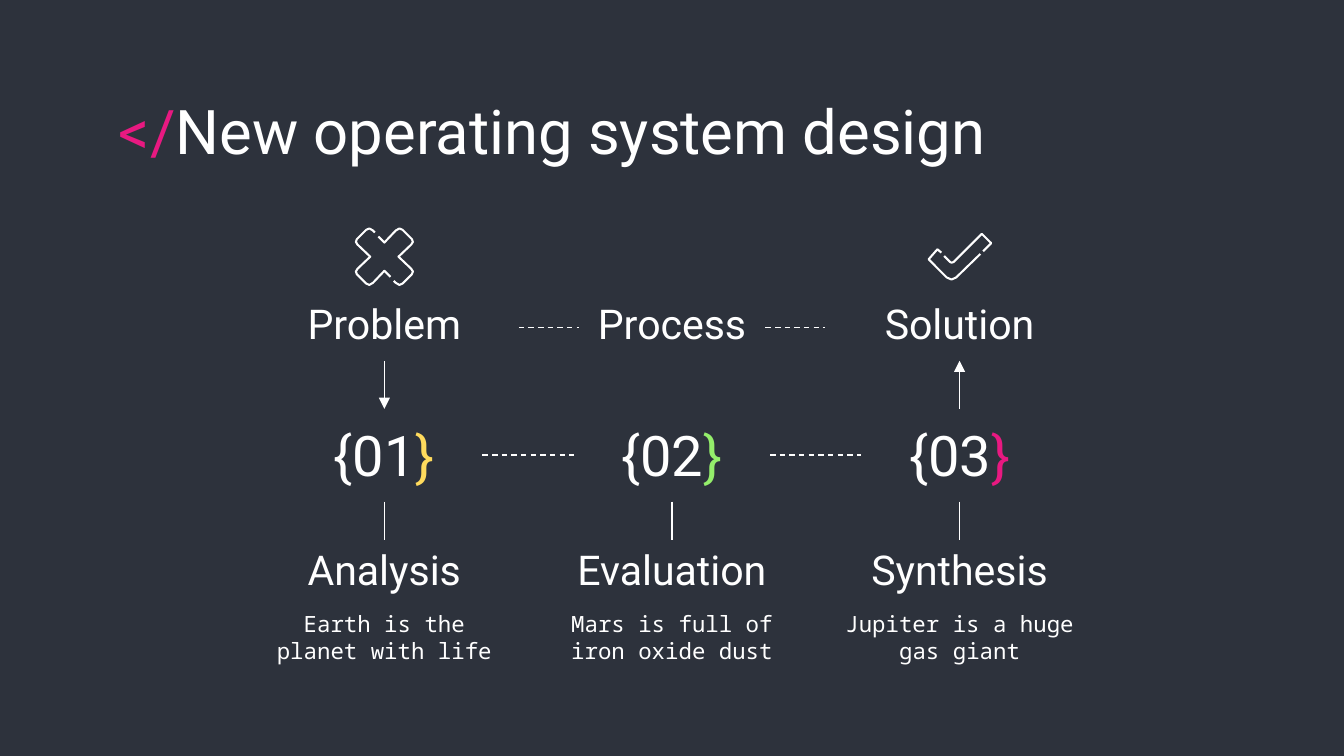
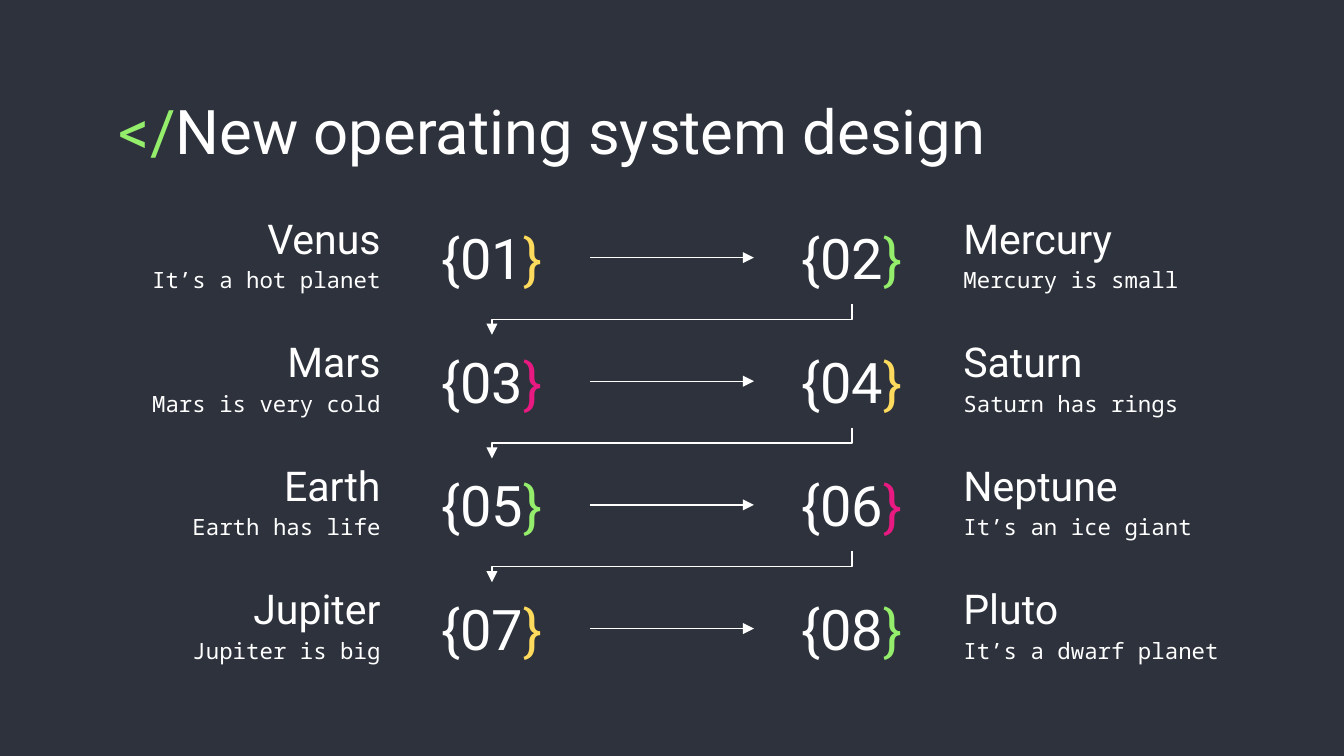
import dataclasses
import typing

import lxml.etree
import pptx
import pptx.dml.color
import pptx.enum.dml
import pptx.enum.shapes
import pptx.enum.text
import pptx.oxml.ns
import pptx.util

CELL = pptx.util.Inches(0.1)  # one column or row of the grid
WIDE, HIGH = 100, 56.25

ALIGN = pptx.enum.text.PP_ALIGN
ANCHOR = pptx.enum.text.MSO_ANCHOR
LINK = pptx.enum.shapes.MSO_CONNECTOR

Point = tuple[float, float]
Part = tuple[str, str]


@dataclasses.dataclass(frozen=True)
class Theme:
    back: str = "2D323C"
    white: str = "FFFFFF"
    pink: str = "E81981"
    gold: str = "FFDB5D"
    green: str = "94EE6B"
    sans: str = "Roboto"
    mono: str = "Noto Sans Mono"
    title: int = 33
    num: int = 30
    head: int = 22
    note: int = 12
    line: float = 0.75
    icon: float = 1.1


THEME = Theme()


class Box(typing.NamedTuple):
    left: float
    top: float
    width: float
    height: float


@dataclasses.dataclass(frozen=True)
class Step:
    num: int
    head: str
    note: str
    hue: str


STAGES = (
    Step(1, "Analysis", "Earth is the planet with life", THEME.gold),
    Step(2, "Evaluation", "Mars is full of iron oxide dust", THEME.green),
    Step(3, "Synthesis", "Jupiter is a huge gas giant", THEME.pink),
)
PLANETS = (
    Step(1, "Venus", "It’s a hot planet", THEME.gold),
    Step(2, "Mercury", "Mercury is small", THEME.green),
    Step(3, "Mars", "Mars is very cold", THEME.pink),
    Step(4, "Saturn", "Saturn has rings", THEME.gold),
    Step(5, "Earth", "Earth has life", THEME.green),
    Step(6, "Neptune", "It’s an ice giant", THEME.pink),
    Step(7, "Jupiter", "Jupiter is big", THEME.gold),
    Step(8, "Pluto", "It’s a dwarf planet", THEME.green),
)

NUM_W, NUM_H = 14.6, 6.9
HEAD_H = 5

# Half of the cross, about its centre; a half turn gives the other half.
ARM = ((0.85, -1.95), (1.12, -2.1), (1.35, -2), (2.05, -1.3), (2.12, -1.1), (2, -0.9))
CROSS = ((-0.45, -1.5), (0, -1.05), *ARM, (1.05, 0),
         *((x, -y) for x, y in reversed(ARM)), (0.7, 1.8))
CHECK_LOW = ((70.05, 18.8), (69.75, 18.55), (69.1, 19.3), (70.45, 20.65),
             (70.8, 20.8), (71.15, 20.65), (72.95, 18.9))
CHECK_TOP = ((70.25, 19.05), (70.7, 19.5), (70.8, 19.55), (70.95, 19.5),
             (73.05, 17.4), (73.75, 18.1), (73.15, 18.7))


def size(cells: float) -> pptx.util.Emu:
    return pptx.util.Emu(round(cells * CELL))


def tint(code: str) -> pptx.dml.color.RGBColor:
    return pptx.dml.color.RGBColor.from_string(code)


def write(slide, box: Box, parts: typing.Sequence[Part], points: int,
          face: str = THEME.sans, align=ALIGN.CENTER, anchor=ANCHOR.BOTTOM) -> None:
    """Add a text box whose parts are (text, colour) pairs on one paragraph."""
    frame = slide.shapes.add_textbox(*map(size, box)).text_frame
    frame.word_wrap = True
    frame.vertical_anchor = anchor
    frame.margin_left = frame.margin_right = size(1)
    frame.margin_top = frame.margin_bottom = size(1)
    para = frame.paragraphs[0]
    para.alignment = align
    para.font.name = face
    para.font.size = pptx.util.Pt(points)
    if len(parts) == 1:
        para.font.color.rgb = tint(parts[0][1])
    for text, hue in parts:
        run = para.add_run()
        run.text = text
        if len(parts) > 1:
            run.font.color.rgb = tint(hue)


def write_head(slide, box: Box, text: str, align=ALIGN.CENTER) -> None:
    write(slide, box, [(text, THEME.white)], THEME.head, align=align)


def write_note(slide, box: Box, text: str, align=ALIGN.CENTER) -> None:
    write(slide, box, [(text, THEME.white)], THEME.note, THEME.mono, align, ANCHOR.TOP)


def write_num(slide, mid: float, top: float, step: Step) -> None:
    parts = [(f"{{{step.num:02}", THEME.white), ("}", step.hue)]
    write(slide, Box(mid - NUM_W / 2, top, NUM_W, NUM_H), parts, THEME.num)


def join(slide, start: Point, end: Point, arrow: bool = False, dash: bool = False,
         kind=LINK.STRAIGHT):
    link = slide.shapes.add_connector(kind, *map(size, start + end))
    link.line.color.rgb = tint(THEME.white)
    link.line.width = pptx.util.Pt(THEME.line)
    if dash:
        link.line.dash_style = pptx.enum.dml.MSO_LINE.DASH
    qn = pptx.oxml.ns.qn
    props = link._element.spPr
    if arrow:
        lxml.etree.SubElement(props.find(qn("a:ln")), qn("a:tailEnd"), type="triangle")
    lxml.etree.SubElement(props, qn("a:effectLst"))
    return link


def step_down(slide, start: Point, end: Point) -> None:
    """Draw an elbow arrow that leaves downward, by a quarter turn of its frame."""
    wide, high = start[0] - end[0], end[1] - start[1]
    mid_x, mid_y = (start[0] + end[0]) / 2, (start[1] + end[1]) / 2
    link = join(slide, (mid_x - high / 2, mid_y - wide / 2),
                (mid_x + high / 2, mid_y + wide / 2), arrow=True, kind=LINK.ELBOW)
    link._element.spPr.find(pptx.oxml.ns.qn("a:xfrm")).set("rot", "5400000")


def trace(slide, points: typing.Sequence[Point]) -> None:
    first, *rest = [(size(x), size(y)) for x, y in points]
    pen = slide.shapes.build_freeform(*first)
    pen.add_line_segments(rest, close=False)
    shape = pen.convert_to_shape()
    shape.shadow.inherit = False
    shape.fill.background()
    shape.line.color.rgb = tint(THEME.white)
    shape.line.width = pptx.util.Pt(THEME.icon)


def start_slide(deck, hue: str):
    slide = deck.slides.add_slide(deck.slide_layouts[6])
    slide.background.fill.solid()
    slide.background.fill.fore_color.rgb = tint(THEME.back)
    parts = [("</", hue), ("New operating system design", THEME.white)]
    write(slide, Box(7.87, 5.9, 84.3, 6.3), parts, THEME.title,
          align=ALIGN.LEFT, anchor=ANCHOR.TOP)
    return slide


def draw_stages(deck) -> None:
    slide = start_slide(deck, THEME.pink)
    gap, wide, slim = 21.4, 20, 13.9
    label_y, num_y, head_y, note_y = 21.85, 30.42, 40.2, 44.4
    mids = [WIDE / 2 + gap * i for i in (-1, 0, 1)]
    left, mid, right = mids

    trace(slide, CHECK_LOW)
    trace(slide, CHECK_TOP)
    for turn in (1, -1):
        trace(slide, [(left + turn * x, 19.1 + turn * y) for x, y in CROSS])

    for x, step in zip(mids, STAGES):
        write_head(slide, Box(x - wide / 2, head_y, wide, HEAD_H), step.head)
        write_note(slide, Box(x - wide / 2, note_y, wide, 6), step.note)
        write_num(slide, x, num_y, step)
        join(slide, (x, num_y + NUM_H), (x, head_y))

    for x, span, text in ((left, wide, "Problem"), (right, wide, "Solution"),
                          (mid, slim, "Process")):
        write_head(slide, Box(x - span / 2, label_y, span, HEAD_H), text)

    low = label_y + HEAD_H
    join(slide, (left, low), (left, num_y), arrow=True)
    join(slide, (right, num_y), (right, low), arrow=True)
    for a, b in zip(mids, mids[1:]):
        y = num_y + NUM_H / 2
        join(slide, (a + NUM_W / 2, y), (b - NUM_W / 2, y), dash=True)
    y = label_y + HEAD_H / 2
    join(slide, (left + wide / 2, y), (mid - slim / 2, y), dash=True)
    join(slide, (mid + slim / 2, y), (right - wide / 2, y), dash=True)


def draw_planets(deck) -> None:
    slide = start_slide(deck, THEME.green)
    top, pitch, wide = 15.72, 9.2, 21.4
    left, right = 36.6, 63.4
    sides = ((left, left - NUM_W / 2 - wide, ALIGN.RIGHT),
             (right, right + NUM_W / 2, ALIGN.LEFT))
    for i, step in enumerate(PLANETS):
        row, side = divmod(i, 2)
        mid, text_x, align = sides[side]
        y = top + row * pitch
        write_num(slide, mid, y, step)
        write_head(slide, Box(text_x, y - 0.2, wide, HEAD_H), step.head, align)
        write_note(slide, Box(text_x, y + 3.1, wide, 4), step.note, align)
        if side == 0:
            level = y + NUM_H / 2
            join(slide, (left + NUM_W / 2, level), (right - NUM_W / 2, level), arrow=True)
        elif i < len(PLANETS) - 1:
            step_down(slide, (right, y + NUM_H), (left, y + pitch))


def main() -> None:
    deck = pptx.Presentation()
    deck.slide_width, deck.slide_height = size(WIDE), size(HIGH)
    draw_stages(deck)
    draw_planets(deck)
    deck.save("out.pptx")


if __name__ == "__main__":
    main()
